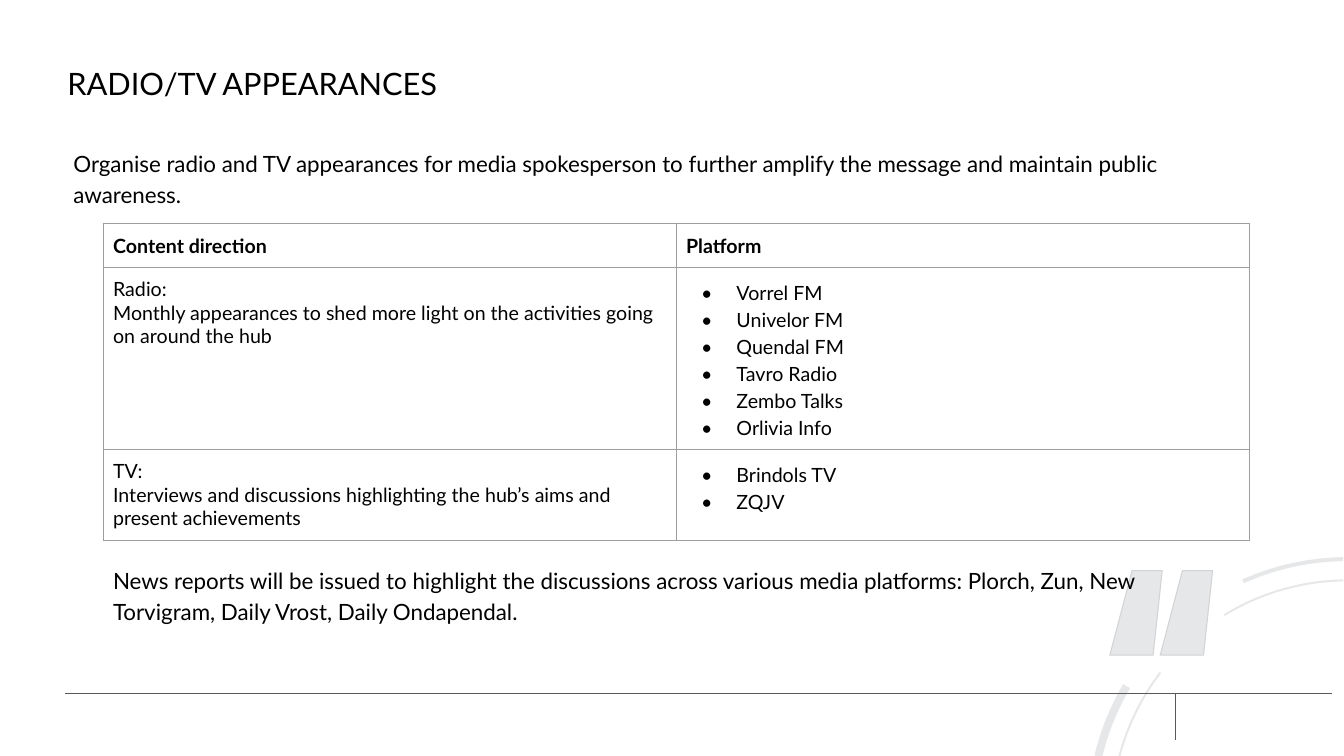
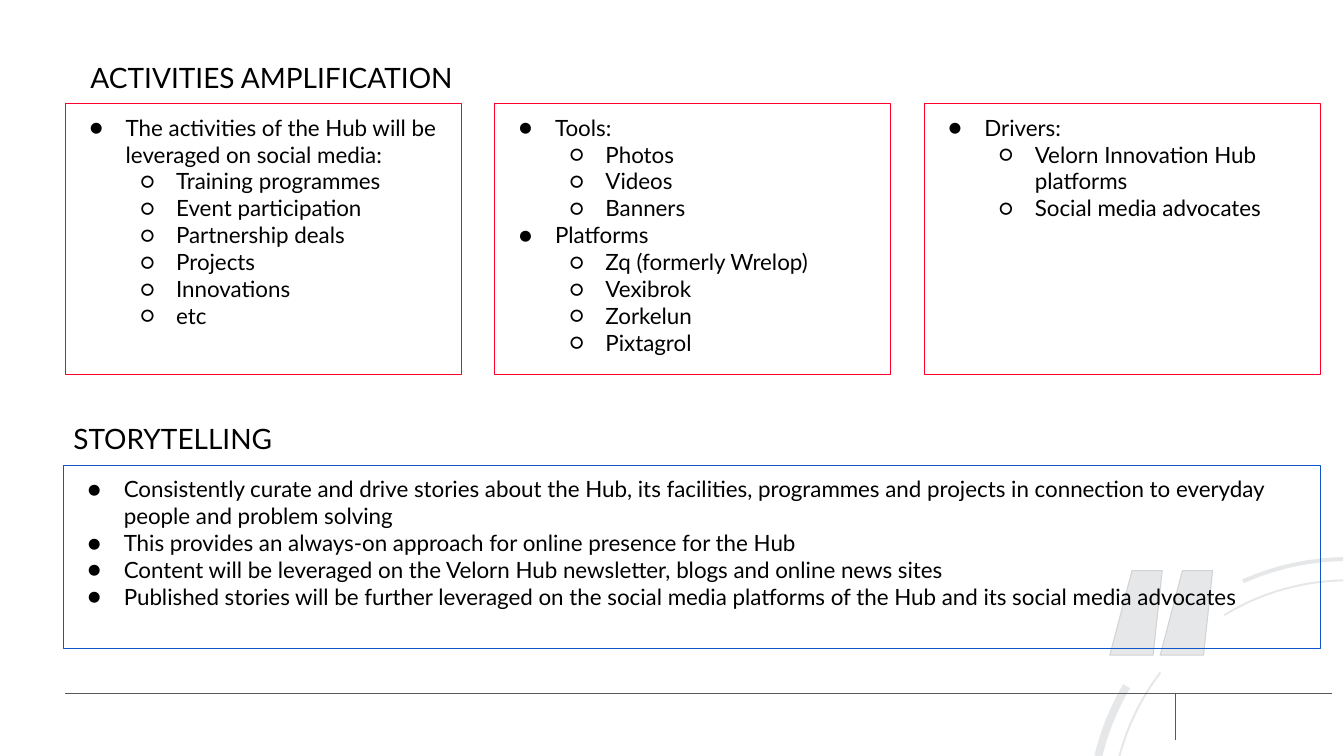
from math import cos, radians, sin

from lxml import etree
from pptx import Presentation
from pptx.dml.color import RGBColor
from pptx.enum import shapes, text
from pptx.oxml import ns
from pptx.util import Cm, Pt

FONT = "Lato"
COLORS = {
    "ink": "000000",
    "rule": "595959",
    "grid": "9E9E9E",
    "ornament": "E6E7E8",
    "ornament_edge": "D2D3D5",
    "red": "FF002B",
    "blue": "1155CC",
}
INSET = 0.25
LINE_W = 0.75
BULLETS = "●○"


def rgb(name):
    return RGBColor.from_string(COLORS[name])


def sub(parent, tag, **attrs):
    return etree.SubElement(parent, ns.qn(tag), **attrs)


def add_color(parent, tag, name):
    sub(sub(parent, tag), "a:srgbClr", val=COLORS[name])


# ---- Text ----
def add_bullet(p, char, level, hang):
    pPr = p._p.get_or_add_pPr()
    pPr.set("marL", str(Cm(1.27 * (level + 1))))
    pPr.set("indent", str(-Cm(hang)))
    add_color(pPr, "a:buClr", "ink")
    sub(pPr, "a:buFont", typeface=FONT)
    sub(pPr, "a:buChar", char=char)


def write(tf, items, size=16, bold=False, spacing=None, bullets="", hang=0.91,
          inset_y=INSET, anchor=text.MSO_ANCHOR.TOP):
    """Fill a frame; an item is a string or a (string, level) pair."""
    tf.word_wrap = True
    tf.auto_size = text.MSO_AUTO_SIZE.NONE
    tf.vertical_anchor = anchor
    tf.margin_left = tf.margin_right = Cm(INSET)
    tf.margin_top = tf.margin_bottom = Cm(inset_y)
    for i, item in enumerate(items):
        words, level = item if isinstance(item, tuple) else (item, 0)
        p = tf.add_paragraph() if i else tf.paragraphs[0]
        p.level = level
        p.alignment = text.PP_ALIGN.LEFT
        if bullets:
            add_bullet(p, bullets[level], level, hang)
        if spacing:
            p.line_spacing = spacing
        r = p.add_run()
        r.text = words
        r.font.name, r.font.size, r.font.bold = FONT, Pt(size), bold
        r.font.color.rgb = rgb("ink")


def add_text(slide, box, words, **fmt):
    sp = slide.shapes.add_textbox(*map(Cm, box))
    write(sp.text_frame, [words], **fmt)


def set_title(slide, box, words, **fmt):
    sp = slide.shapes.title
    sp.left, sp.top, sp.width, sp.height = map(Cm, box)
    write(sp.text_frame, [words], anchor=text.MSO_ANCHOR.MIDDLE, **fmt)


# ---- Shared decoration ----
def add_outline(slide, contours, edge=None):
    """Draw closed contours, given in cm, as one freeform."""
    paths = [[(Cm(x), Cm(y)) for x, y in pts] for pts in contours]
    fb = slide.shapes.build_freeform(*paths[0][0], scale=1.0)
    for i, pts in enumerate(paths):
        if i:
            fb.move_to(*pts[0])
        fb.add_line_segments(pts[1:], close=True)
    sp = fb.convert_to_shape()
    sp.shadow.inherit = False
    sp.fill.solid()
    sp.fill.fore_color.rgb = rgb("ornament")
    if edge:
        sp.line.color.rgb = rgb(edge)
        sp.line.width = Pt(LINE_W)
    else:
        sp.line.fill.background()


def ring_part(cx, cy, outer, inner, start, end, steps=24):
    angles = [radians(start + (end - start) * i / steps) for i in range(steps + 1)]
    sides = [(outer, a) for a in angles] + [(inner, a) for a in reversed(angles)]
    return [(cx + rad * cos(a), cy - rad * sin(a)) for rad, a in sides]


def add_rule(slide, x1, y1, x2, y2):
    ln = slide.shapes.add_connector(
        shapes.MSO_CONNECTOR.STRAIGHT, Cm(x1), Cm(y1), Cm(x2), Cm(y2))
    ln.line.color.rgb = rgb("rule")
    ln.line.width = Pt(LINE_W)
    sub(ln._element.spPr, "a:effectLst")


def add_quote_ornament(slide, x, y):
    """Quote marks with their top-left corner at x, y, inside a broken ring."""
    arcs = [(6.56, 6.36, 149.5, 166.5), (5.97, 5.92, 142.5, 165.2),
            (5.97, 5.92, 121.5, 91), (6.53, 6.43, 114, 91)]
    add_outline(slide, [ring_part(x + 5.99, y + 6.19, *arc) for arc in arcs])
    mark = [(0.56, 0), (1.32, 0), (1.09, 2.13), (0, 2.13)]
    add_outline(slide, [[(x + dx + gap, y + dy) for dx, dy in mark]
                        for gap in (0, 1.27)], edge="ornament_edge")


def new_slide(prs):
    slide = prs.slides.add_slide(prs.slide_layouts[5])
    add_quote_ornament(slide, 27.97, 14.38)
    add_rule(slide, 29.62, 17.49, 29.62, 18.64)
    add_rule(slide, 1.65, 17.48, 33.58, 17.48)
    return slide


# ---- Regions ----
def format_cell(cell, items, **fmt):
    tcPr = cell._tc.get_or_add_tcPr()
    for side in ("a:lnL", "a:lnR", "a:lnT", "a:lnB"):
        ln = sub(tcPr, side, w=str(Pt(LINE_W)))
        add_color(ln, "a:solidFill", "grid")
    cell.fill.background()
    write(cell.text_frame, items, size=14, **fmt)
    cell.margin_left = cell.margin_right = Cm(INSET)
    cell.margin_top = cell.margin_bottom = Cm(INSET)
    cell.vertical_anchor = text.MSO_ANCHOR.TOP


def add_platform_table(slide, x, y, w, heads, rows, heights):
    frame = slide.shapes.add_table(
        len(rows) + 1, 2, Cm(x), Cm(y), Cm(w), Cm(sum(heights)))
    table = frame.table
    table.first_row = table.horz_banding = False
    for row, height in zip(table.rows, heights):
        row.height = Cm(height)
    for col, head in enumerate(heads):
        format_cell(table.cell(0, col), [head], bold=True)
    for i, (direction, platforms) in enumerate(rows, 1):
        format_cell(table.cell(i, 0), direction)
        format_cell(table.cell(i, 1), platforms, bullets="•", hang=0.89, spacing=1.15)


def add_list_box(slide, box, edge, items):
    sp = slide.shapes.add_shape(shapes.MSO_SHAPE.RECTANGLE, *map(Cm, box))
    sp.shadow.inherit = False
    sp.fill.background()
    sp.line.color.rgb = rgb(edge)
    sp.line.width = Pt(LINE_W)
    write(sp.text_frame, items, bullets=BULLETS)


def add_list_row(slide, x, y, w, h, gap, lists):
    box_w = (w - gap * (len(lists) - 1)) / len(lists)
    for i, items in enumerate(lists):
        add_list_box(slide, (x + i * (box_w + gap), y, box_w, h), "red", items)


def group(head, *entries):
    return [head] + [(entry, 1) for entry in entries]


# ---- Slides ----
def radio_tv_slide(prs):
    slide = new_slide(prs)
    set_title(slide, (1.45, 1.17, 28.9, 1.98), "RADIO/TV APPEARANCES",
              size=22, spacing=0.9, inset_y=0.13)
    add_text(slide, (1.6, 3.56, 30.63, 1.68),
             "Organise radio and TV appearances for media spokesperson to further "
             "amplify the message and maintain public awareness.",
             spacing=1.15, inset_y=0.13)
    rows = [
        (["Radio:", "Monthly appearances to shed more light on the activities "
          "going on around the hub"],
         ["Vorrel FM", "Univelor FM", "Quendal FM", "Tavro Radio",
          "Zembo Talks", "Orlivia Info"]),
        (["TV:", "Interviews and discussions highlighting the hub’s aims and "
          "present achievements"],
         ["Brindols TV", "ZQJV"]),
    ]
    add_platform_table(slide, 2.6, 5.64, 28.88, ["Content direction", "Platform"],
                       rows, [1.1, 4.58, 2.3])
    add_text(slide, (2.6, 13.95, 27.43, 1.98),
             "News reports will be issued to highlight the discussions across various "
             "media platforms: Plorch, Zun, New Torvigram, Daily Vrost, Daily Ondapendal.",
             spacing=1.15)


def amplification_slide(prs):
    slide = new_slide(prs)
    set_title(slide, (2.03, 1.27, 21.26, 1.37), "ACTIVITIES AMPLIFICATION", size=20)
    lists = [
        group("The activities of the Hub will be leveraged on social media:",
              "Training programmes", "Event participation", "Partnership deals",
              "Projects", "Innovations", "etc"),
        group("Tools:", "Photos", "Videos", "Banners")
        + group("Platforms", "Zq (formerly Wrelop)", "Vexibrok", "Zorkelun", "Pixtagrol"),
        group("Drivers:", "Velorn Innovation Hub platforms", "Social media advocates"),
    ]
    add_list_row(slide, 1.65, 2.62, 31.62, 6.83, 0.84, lists)
    add_text(slide, (1.6, 10.36, 21.26, 1.37), "STORYTELLING", size=20)
    add_list_box(slide, (1.6, 11.73, 31.67, 4.62), "blue", [
        "Consistently curate and drive stories about the Hub, its facilities, programmes "
        "and projects in connection to everyday people and problem solving",
        "This provides an always-on approach for online presence for the Hub",
        "Content will be leveraged on the Velorn Hub newsletter, blogs and online news sites",
        "Published stories will be further leveraged on the social media platforms of the "
        "Hub and its social media advocates",
    ])


def main():
    prs = Presentation()
    prs.slide_width, prs.slide_height = Cm(33.87), Cm(19.05)
    radio_tv_slide(prs)
    amplification_slide(prs)
    prs.save("out.pptx")


if __name__ == "__main__":
    main()
